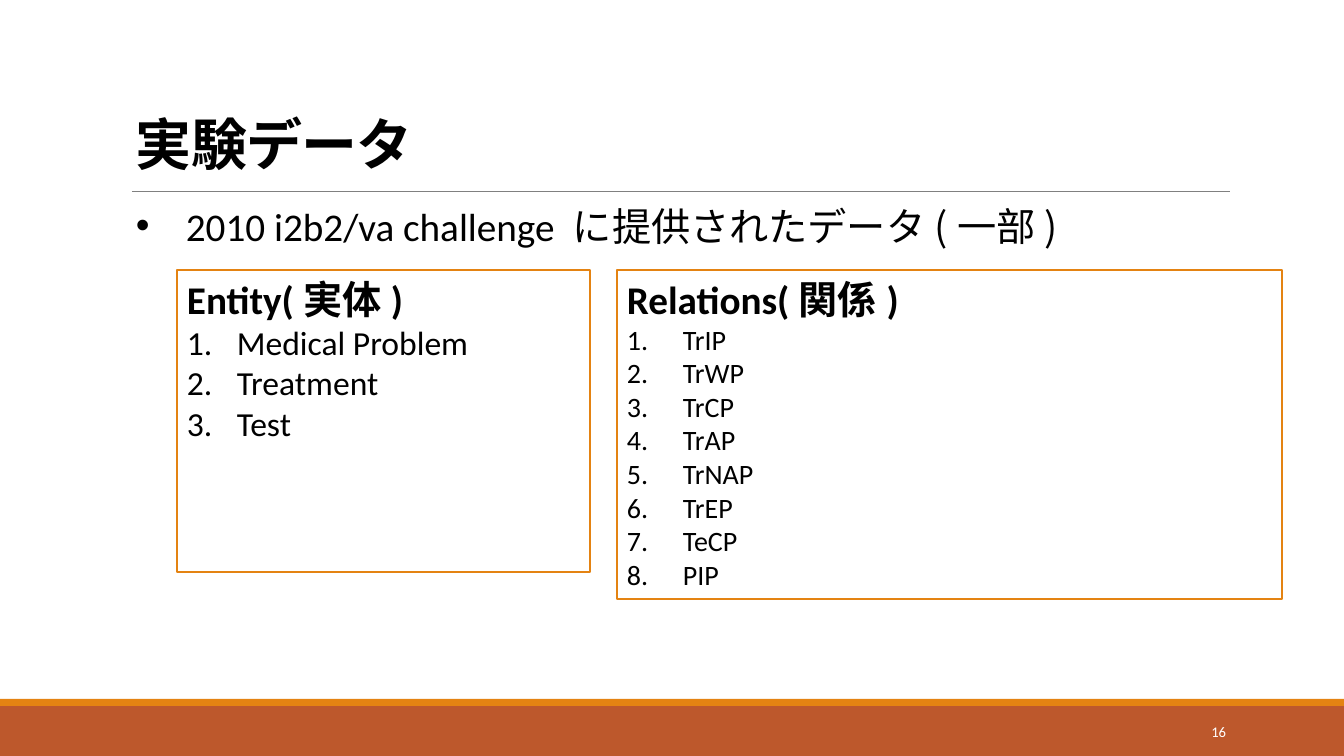
from lxml import etree
from pptx import Presentation
from pptx import util as u
from pptx.dml.color import RGBColor
from pptx.enum import shapes, text
from pptx.oxml.ns import qn

PX = 914400 / 100.8
LATIN, ASIAN = "Calibri", "Noto Sans CJK JP"
HUES = {"rust": "BD582C", "amber": "E48312", "gray": "808080",
        "white": "FFFFFF", "black": "000000"}


def px(*nums):
    return [u.Emu(round(n * PX)) for n in nums]


def write(para, words, size, hue="black", bold=False, bullet=None, indent=0):
    font = para.font
    font.size, font.bold = u.Pt(size), bold
    font.color.rgb = RGBColor.from_string(HUES[hue])
    for word in words:
        run = para.add_run()
        run.text = word
        run.font.name = LATIN if word.isascii() else ASIAN
        etree.SubElement(run.font._element, qn("a:ea"), typeface=ASIAN)
    if bullet:
        props = para._p.get_or_add_pPr()
        gap = px(indent)[0]
        props.set("marL", str(gap))
        props.set("indent", str(-gap))
        face = etree.Element(qn("a:buFont"), typeface="Arial" if bullet == "•" else LATIN)
        if bullet == "•":
            mark = etree.Element(qn("a:buChar"), char=bullet)
        else:
            mark = etree.Element(qn("a:buAutoNum"), type=bullet)
        props.insert(0, face)
        props.insert(1, mark)


deck = Presentation()
deck.slide_width, deck.slide_height = px(1344, 756)
slide = deck.slides.add_slide(deck.slide_layouts[6])
items = slide.shapes

for top, high, hue in [(706, 50, "rust"), (699, 7, "amber")]:
    band = items.add_shape(shapes.MSO_SHAPE.RECTANGLE, *px(0, top, 1344, high))
    band.shadow.inherit = False
    band.fill.solid()
    band.fill.fore_color.rgb = RGBColor.from_string(HUES[hue])
    band.line.fill.background()

rule = items.add_connector(shapes.MSO_CONNECTOR.STRAIGHT, *px(132, 191, 1230, 191))
rule.line.color.rgb = RGBColor.from_string(HUES["gray"])
rule.line.width = u.Pt(0.5)
etree.SubElement(rule._element.spPr, qn("a:effectLst"))

title = items.add_textbox(*px(126, 41, 983, 141)).text_frame
title.word_wrap = True
title.vertical_anchor = text.MSO_ANCHOR.BOTTOM
head = title.paragraphs[0]
head.line_spacing = 0.85
write(head, ["実験データ"], 40, bold=True)
head.runs[0].font._element.set("spc", "-50")

intro = items.add_textbox(*px(126, 197, 1121, 92)).text_frame
intro.word_wrap = True
write(intro.paragraphs[0], ["2010 i2b2/va challenge ", "に提供されたデータ(一部)"], 28,
      bullet="•", indent=50)

panels = [
    ((617, 270, 665, 329), ["Relations(", "関係", ")"], 20, 56,
     ["TrIP", "TrWP", "TrCP", "TrAP", "TrNAP", "TrEP", "TeCP", "PIP"]),
    ((177, 270, 413, 302), ["Entity(", "実体", ")"], 24, 50,
     ["Medical Problem", "Treatment", "Test"]),
]
for place, name, size, indent, kinds in panels:
    panel = items.add_shape(shapes.MSO_SHAPE.RECTANGLE, *px(*place))
    panel.shadow.inherit = False
    panel.fill.solid()
    panel.fill.fore_color.rgb = RGBColor.from_string(HUES["white"])
    panel.line.color.rgb = RGBColor.from_string(HUES["amber"])
    panel.line.width = u.Pt(1.25)
    frame = panel.text_frame
    frame.word_wrap = True
    frame.vertical_anchor = text.MSO_ANCHOR.TOP
    write(frame.paragraphs[0], name, 28, bold=True)
    for kind in kinds:
        write(frame.add_paragraph(), [kind], size, bullet="arabicPeriod", indent=indent)
    for para in frame.paragraphs:
        para.alignment = text.PP_ALIGN.LEFT

page = items.add_textbox(*px(1092, 712, 144, 40)).text_frame
page.word_wrap = True
page.vertical_anchor = text.MSO_ANCHOR.MIDDLE
page.paragraphs[0].alignment = text.PP_ALIGN.RIGHT
write(page.paragraphs[0], ["16"], 10.5, "white")

deck.save("out.pptx")
